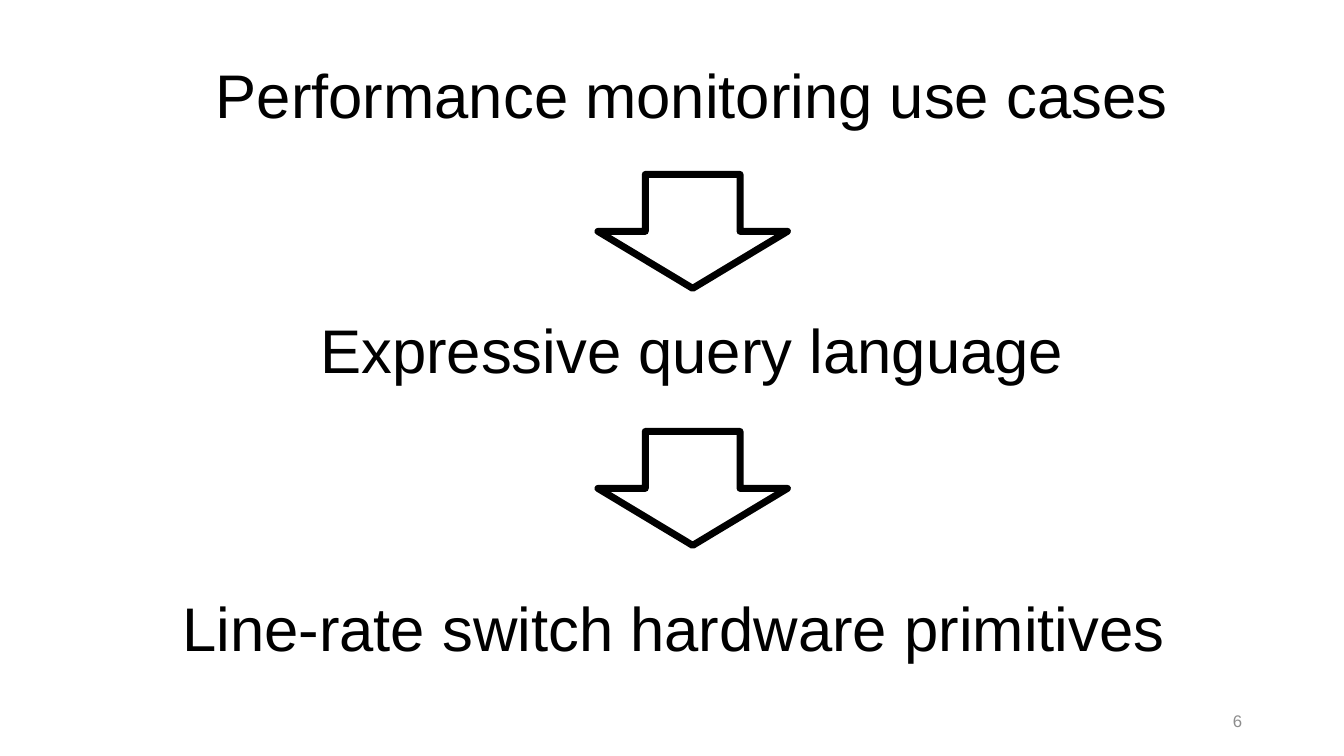
"""Build a slide where use cases lead to a query language and switch primitives."""
from dataclasses import dataclass

from pptx import Presentation
from pptx.dml.color import RGBColor
from pptx.enum.shapes import MSO_SHAPE
from pptx.enum.text import MSO_ANCHOR, MSO_AUTO_SIZE, PP_ALIGN
from pptx.slide import Slide
from pptx.util import Inches, Pt

WIDTH, HEIGHT = Inches(13.33), Inches(7.5)


@dataclass(frozen=True)
class Theme:
    """Colours, font and sizes in points."""
    font: str = "Arial"
    ink: RGBColor = RGBColor(0, 0, 0)
    muted: RGBColor = RGBColor(0x8C, 0x8C, 0x8C)
    large: int = 44
    small: int = 12
    stroke: int = 5


@dataclass(frozen=True)
class Box:
    """Place and size in percent of the slide's width and height."""
    left: float
    top: float
    width: float
    height: float

    def frame(self) -> tuple[int, int, int, int]:
        """Return left, top, width and height as slide lengths."""
        return (int(WIDTH * self.left / 100), int(HEIGHT * self.top / 100),
                int(WIDTH * self.width / 100), int(HEIGHT * self.height / 100))


@dataclass(frozen=True)
class Label:
    """Text with its box and style."""
    text: str
    box: Box
    size: int
    color: RGBColor
    align: PP_ALIGN = PP_ALIGN.CENTER
    anchor: MSO_ANCHOR = MSO_ANCHOR.TOP
    fit: MSO_AUTO_SIZE = MSO_AUTO_SIZE.SHAPE_TO_FIT_TEXT


THEME = Theme()
LAYERS = [
    Label(text, Box(left, top, 88.3, 11.2), THEME.large, THEME.ink)
    for text, left, top in (
        ("Performance monitoring use cases", 7.35, 6.93),
        ("Expressive query language", 7.35, 40.67),
        ("Line-rate switch hardware primitives", 6, 77.33),
    )
]
NUMBER = Label("6", Box(70.67, 92.67, 22.5, 5.33), THEME.small, THEME.muted,
               PP_ALIGN.RIGHT, MSO_ANCHOR.MIDDLE, MSO_AUTO_SIZE.NONE)
ARROWS = [Box(44.49, top, 14.1, 15.07) for top in (23.07, 57.07)]


def write(slide: Slide, label: Label) -> None:
    """Add a label as a wrapped text box."""
    frame = slide.shapes.add_textbox(*label.box.frame()).text_frame
    frame.word_wrap = True
    frame.auto_size = label.fit
    frame.vertical_anchor = label.anchor
    line = frame.paragraphs[0]
    line.text = label.text
    line.alignment = label.align
    line.font.name = THEME.font
    line.font.size = Pt(label.size)
    line.font.color.rgb = label.color


def point(slide: Slide, box: Box) -> None:
    """Add an outlined down arrow."""
    arrow = slide.shapes.add_shape(MSO_SHAPE.DOWN_ARROW, *box.frame())
    arrow.shadow.inherit = False
    arrow.fill.background()
    arrow.line.color.rgb = THEME.ink
    arrow.line.width = Pt(THEME.stroke)


def main() -> None:
    """Draw and save the slide."""
    deck = Presentation()
    deck.slide_width, deck.slide_height = WIDTH, HEIGHT
    slide = deck.slides.add_slide(deck.slide_layouts.get_by_name("Blank"))
    for label in (*LAYERS, NUMBER):
        write(slide, label)
    for box in ARROWS:
        point(slide, box)
    deck.save("out.pptx")


if __name__ == "__main__":
    main()
